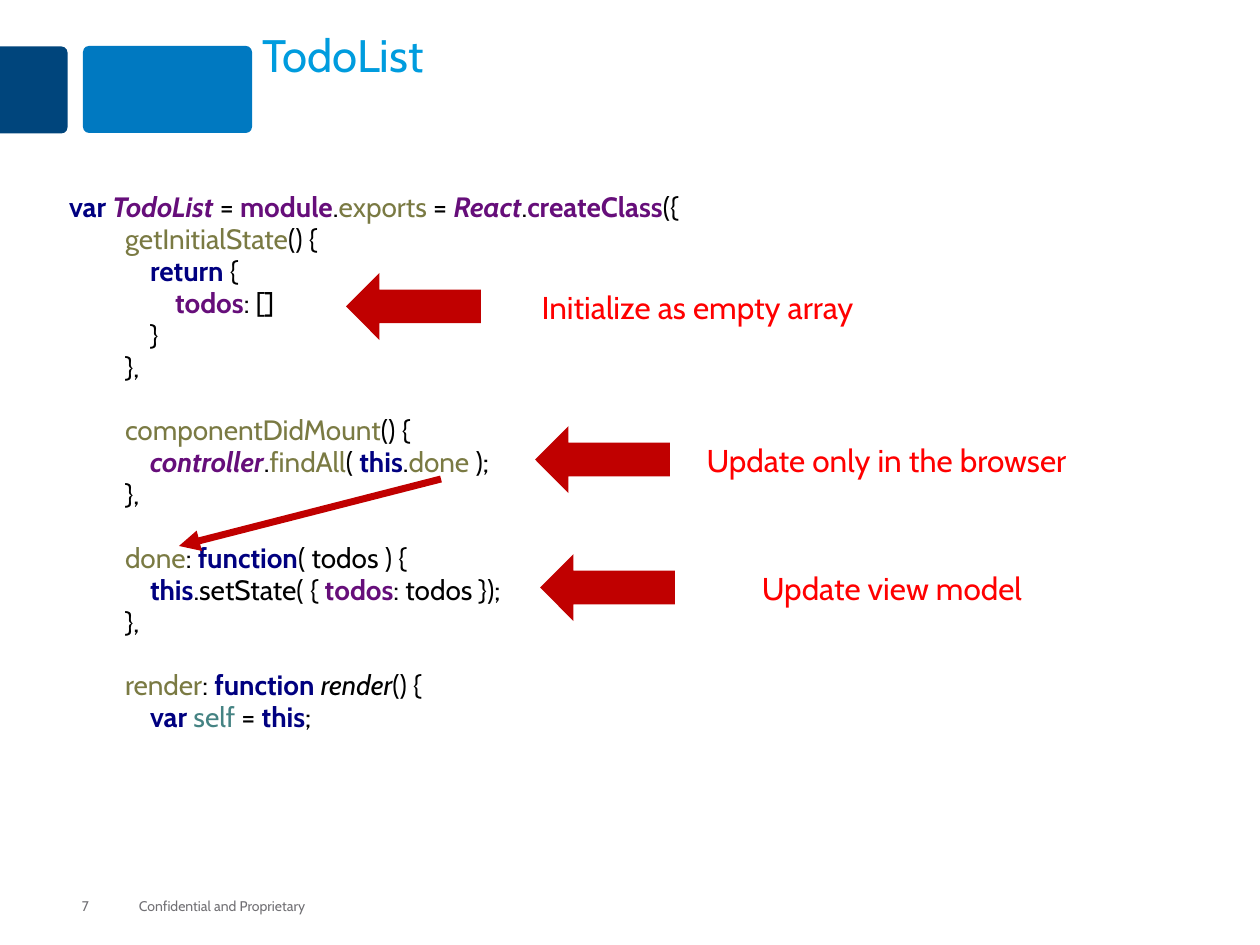
from lxml.etree import SubElement
from pptx import Presentation
from pptx.dml.color import RGBColor
from pptx.enum.shapes import MSO_CONNECTOR as Connector, MSO_SHAPE as Shape
from pptx.enum.text import MSO_ANCHOR as Anchor, PP_ALIGN as Align
from pptx.oxml.ns import qn
from pptx.util import Pt

SCALE = 914400 / 126
FONT = "Cabin"
RED, DARK_RED, GRAY = "FF0000", "C00000", "717074"
LINE_GAP = 18.2
FIRST_INDENT, INDENT_STEP = 56, 25

STYLES = {
    "plain": ("000000", False, False),
    "italic": ("000000", False, True),
    "keyword": ("000080", True, False),
    "name": ("660E7A", True, False),
    "global": ("660E7A", True, True),
    "member": ("7A7A43", False, False),
    "local": ("458383", False, False),
}

CODE_BLOCKS = [
    [
        (0, [("var ", "keyword"), ("TodoList ", "global"), ("= ", "plain"),
             ("module", "name"), (".", "plain"), ("exports ", "member"),
             ("= ", "plain"), ("React", "global"), (".", "plain"),
             ("createClass", "name"), ("({", "plain")]),
        (1, [("getInitialState", "member"), ("() {", "plain")]),
        (2, [("return ", "keyword"), ("{", "plain")]),
        (3, [("todos", "name"), (": []", "plain")]),
        (2, [("}", "plain")]),
        (1, [("},", "plain")]),
    ],
    [
        (1, [("componentDidMount", "member"), ("() {", "plain")]),
        (2, [("controller", "global"), (".", "plain"), ("findAll", "member"),
             ("( ", "plain"), ("this", "keyword"), (".", "plain"),
             ("done ", "member"), (");", "plain")]),
        (1, [("},", "plain")]),
    ],
    [
        (1, [("done", "member"), (": ", "plain"), ("function", "keyword"),
             ("( todos ) {", "plain")]),
        (2, [("this", "keyword"), (".setState( { ", "plain"),
             ("todos", "name"), (": todos });", "plain")]),
        (1, [("},", "plain")]),
    ],
    [
        (1, [("render", "member"), (": ", "plain"), ("function ", "keyword"),
             ("render", "italic"), ("() {", "plain")]),
        (2, [("var ", "keyword"), ("self ", "local"), ("= ", "plain"),
             ("this", "keyword"), (";", "plain")]),
    ],
]

CALLOUTS = [
    (346, 273, 535, 325, "Initialize as empty array"),
    (535, 426, 700, 373, "Update only in the browser"),
    (540, 554, 760, 264, "Update view model"),
]


def px(*lengths):
    """Turn pixel lengths into a list of EMU."""
    return [round(length * SCALE) for length in lengths]


def color(value):
    """Return the colour for a hex string."""
    return RGBColor.from_string(value)


def add_run(paragraph, text, size, value, bold=False, italic=False):
    """Append one formatted run to a paragraph."""
    run = paragraph.add_run()
    run.text = text
    font = run.font
    font.name, font.size = FONT, Pt(size)
    font.bold, font.italic = bold, italic
    font.color.rgb = color(value)


def set_frame(frame, margins=(0, 0, 0, 0), anchor=Anchor.TOP, wrap=True):
    """Set the margins, anchor and wrapping of a text frame."""
    (frame.margin_left, frame.margin_top,
     frame.margin_right, frame.margin_bottom) = px(*margins)
    frame.vertical_anchor = anchor
    frame.word_wrap = wrap


def add_block(shapes, kind, box, fill, adjustments=()):
    """Add a filled preset shape without outline or shadow."""
    shape = shapes.add_shape(kind, *px(*box))
    shape.shadow.inherit = False
    shape.fill.solid()
    shape.fill.fore_color.rgb = color(fill)
    shape.line.fill.background()
    for index, value in enumerate(adjustments):
        shape.adjustments[index] = value
    return shape


def add_label(shapes, box, text, size, value, align=Align.LEFT, anchor=Anchor.TOP):
    """Add a one-line text box."""
    frame = shapes.add_textbox(*px(*box)).text_frame
    set_frame(frame, anchor=anchor, wrap=False)
    paragraph = frame.paragraphs[0]
    paragraph.alignment = align
    add_run(paragraph, text, size, value)


def add_title(slide, text):
    """Place and format the title placeholder."""
    title = slide.shapes.title
    title.left, title.top, title.width, title.height = px(262, 31, 966, 115)
    set_frame(title.text_frame)
    paragraph = title.text_frame.paragraphs[0]
    paragraph.alignment = Align.LEFT
    paragraph.line_spacing = 0.95
    add_run(paragraph, text, 26, "009CDE")


def add_code(slide):
    """Add the listing with one indented paragraph per code line."""
    frame = slide.shapes.add_textbox(*px(69, 186, 1118, 664)).text_frame
    set_frame(frame, (0, 6, 13, 6))
    paragraph = frame.paragraphs[0]
    for block_index, block in enumerate(CODE_BLOCKS):
        for line_index, (level, runs) in enumerate(block):
            if block_index or line_index:
                paragraph = frame.add_paragraph()
            paragraph.line_spacing = 0.95
            starts_block = block_index and not line_index
            paragraph.space_before = Pt(LINE_GAP if starts_block else 0)
            if level:
                indent = FIRST_INDENT + (level - 1) * INDENT_STEP
                paragraph._p.get_or_add_pPr().set("marL", str(px(indent)[0]))
            for text, style in runs:
                add_run(paragraph, text, 16, *STYLES[style])


def add_callout(slide, arrow_left, top, label_left, label_width, text):
    """Add a grouped left arrow and its red label."""
    shapes = slide.shapes.add_group_shape().shapes
    add_block(shapes, Shape.LEFT_ARROW, (arrow_left, top, 135, 67), DARK_RED)
    add_label(shapes, (label_left, top + 15, label_width, 38), text, 18, RED, Align.CENTER)


def add_arrow(slide, start, end):
    """Add a straight line with a triangle at its end."""
    connector = slide.shapes.add_connector(Connector.STRAIGHT, *px(*start, *end))
    connector.line.color.rgb = color(DARK_RED)
    connector.line.width = Pt(4)
    SubElement(connector.line._get_or_add_ln(), qn("a:tailEnd"), type="triangle")
    SubElement(connector._element.spPr, qn("a:effectLst"))


def main():
    """Build and save the slide."""
    presentation = Presentation()
    presentation.slide_width, presentation.slide_height = px(1260, 945)
    slide = presentation.slides.add_slide(presentation.slide_layouts[5])
    shapes = slide.shapes
    tab = add_block(shapes, Shape.ROUND_2_SAME_RECTANGLE, (-10, 56, 87, 68), "00457C", (0.09, 0))
    tab.rotation = 90
    add_block(shapes, Shape.ROUNDED_RECTANGLE, (83, 46, 169, 87), "0079C1", (0.07,))
    add_label(shapes, (139, 898, 176, 16), "Confidential and Proprietary", 8, GRAY,
              anchor=Anchor.MIDDLE)
    add_label(shapes, (82, 898, 79, 16), "7", 8, GRAY, anchor=Anchor.MIDDLE)
    add_code(slide)
    add_title(slide, "TodoList")
    for callout in CALLOUTS:
        add_callout(slide, *callout)
    add_arrow(slide, (441, 479), (179, 546))
    presentation.save("out.pptx")


if __name__ == "__main__":
    main()
